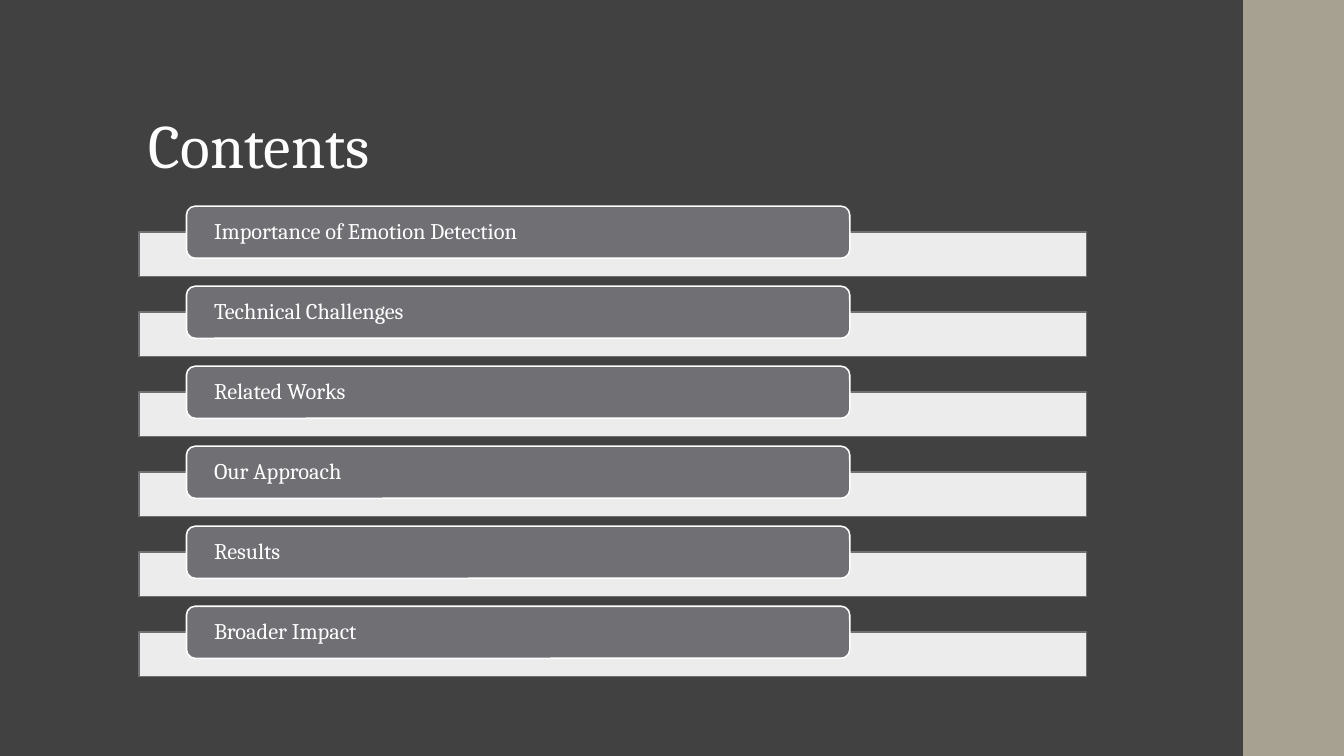
from dataclasses import dataclass

from lxml.etree import SubElement
from pptx import Presentation
from pptx.dml.color import RGBColor
from pptx.enum.shapes import MSO_SHAPE
from pptx.enum.text import MSO_ANCHOR
from pptx.oxml.ns import qn
from pptx.util import Pt


@dataclass(frozen=True)
class Theme:
    font: str = "Cambria"
    background: str = "414141"
    band: str = "A7A192"
    pill: str = "6F6F74"
    white: str = "FFFFFF"
    title_size: float = 44
    item_size: float = 16
    line_width: float = 1.1


theme = Theme()


def add_box(kind, x, y, w, h, fill, line=None):
    s = slide.shapes.add_shape(kind, Pt(x), Pt(y), Pt(w), Pt(h))
    s.shadow.inherit = False
    s.fill.solid()
    s.fill.fore_color.rgb = RGBColor.from_string(fill)
    if line:
        s.line.color.rgb = RGBColor.from_string(line)
        s.line.width = Pt(theme.line_width)
    else:
        s.line.fill.background()
    return s


def add_text(s, text, *, size, anchor, inset_x, inset_y=0):
    tf = s.text_frame
    tf.word_wrap = True
    tf.vertical_anchor = anchor
    tf.margin_left = tf.margin_right = Pt(inset_x)
    tf.margin_top = tf.margin_bottom = Pt(inset_y)
    p = tf.paragraphs[0]
    p.alignment = PP_ALIGN.LEFT
    p.line_spacing = 0.9
    r = p.add_run()
    r.text = text
    r.font.name = theme.font
    r.font.size = Pt(size)
    r.font.color.rgb = RGBColor.from_string(theme.white)


from pptx.enum.text import PP_ALIGN

prs = Presentation()
prs.slide_width, prs.slide_height = Pt(960), Pt(540)
slide = prs.slides.add_slide(prs.slide_layouts[6])

# Background and side band
slide.background.fill.solid()
slide.background.fill.fore_color.rgb = RGBColor.from_string(theme.background)
add_box(MSO_SHAPE.RECTANGLE, 888, 0, 72, 540, theme.band)

# Title
title = slide.shapes.add_textbox(Pt(99), Pt(29), Pt(763), Pt(104.4))
add_text(title, "Contents", size=theme.title_size, anchor=MSO_ANCHOR.BOTTOM,
         inset_x=7.2, inset_y=3.6)

# Contents list: a pale bar behind each rounded label
items = ["Importance of Emotion Detection", "Technical Challenges",
         "Related Works", "Our Approach", "Results", "Broader Impact"]
top, pitch = 147.3, 57.15
for i, item in enumerate(items):
    y = top + i * pitch
    bar = add_box(MSO_SHAPE.RECTANGLE, 99.4, y + 18.5, 676.8, 31.7,
                  theme.white, theme.pill)
    color = bar.fill._xPr.find(qn("a:solidFill"))[0]
    SubElement(color, qn("a:alpha"), val="90000")
    label = add_box(MSO_SHAPE.ROUNDED_RECTANGLE, 133.2, y, 473.8, 37.2,
                    theme.pill, theme.white)
    label.adjustments[0] = 0.167
    add_text(label, item, size=theme.item_size, anchor=MSO_ANCHOR.MIDDLE,
             inset_x=17.9)

prs.save("out.pptx")
